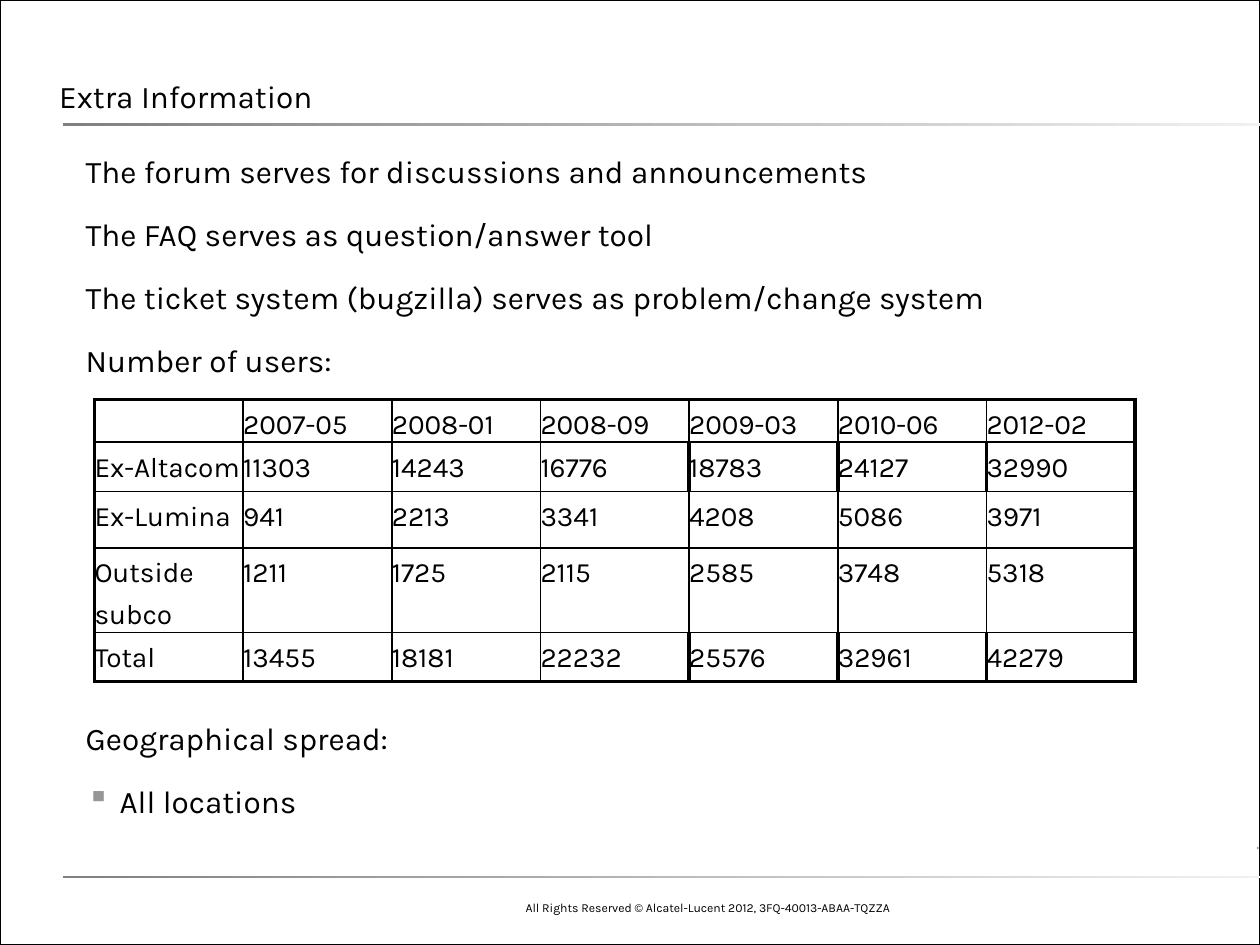
import pptx
import pptx.dml.color
import pptx.enum.shapes
import pptx.enum.text
import pptx.oxml
import pptx.oxml.ns
import pptx.util
from pptx.util import Inches

FONT = "Karla"
COLORS = {
    "backdrop": "B2B2B2",
    "panel": "FFFFFF",
    "ink": "000000",
    "rule_start": "808080",
    "rule_end": "F1F1F1",
    "mark_end": "E1E1E1",
    "bullet": "969696",
}
STATEMENTS = [
    "The forum serves for discussions and announcements",
    "The FAQ serves as question/answer tool",
    "The ticket system (bugzilla) serves as problem/change system",
    "Number of users:",
]
USERS = [
    ["", "2007-05", "2008-01", "2008-09", "2009-03", "2010-06", "2012-02"],
    ["Ex-Altacom", "11303", "14243", "16776", "18783", "24127", "32990"],
    ["Ex-Lumina", "941", "2213", "3341", "4208", "5086", "3971"],
    ["Outside subco", "1211", "1725", "2115", "2585", "3748", "5318"],
    ["Total", "13455", "18181", "22232", "25576", "32961", "42279"],
]
ROW_HEIGHTS = [0.34, 0.39, 0.45, 0.67, 0.39]
COLUMN_WIDTH = 1.18
HEAVY_ROWS = (1, 4)
FIRST_HEAVY_COLUMN = 4
TABLE_GAP = 180


def rgb(name):
    """Return the named colour."""
    return pptx.dml.color.RGBColor.from_string(COLORS[name])


def set_margins(holder, horizontal=0, vertical=0):
    """Set the inner margins of a text frame or a cell."""
    holder.margin_left = holder.margin_right = Inches(horizontal)
    holder.margin_top = holder.margin_bottom = Inches(vertical)


def add_run(paragraph, text, size):
    """Add one run in the slide's font."""
    run = paragraph.add_run()
    run.text = text
    run.font.name = FONT
    run.font.size = pptx.util.Pt(size)
    run.font.color.rgb = rgb("ink")


def add_rectangle(slide, left, top, width, height, fill=None, line=None, line_width=1):
    """Add a rectangle with an optional solid fill and outline."""
    shape = slide.shapes.add_shape(
        pptx.enum.shapes.MSO_SHAPE.RECTANGLE,
        Inches(left), Inches(top), Inches(width), Inches(height))
    shape.shadow.inherit = False
    if fill:
        shape.fill.solid()
        shape.fill.fore_color.rgb = rgb(fill)
    else:
        shape.fill.background()
    if line:
        shape.line.color.rgb = rgb(line)
        shape.line.width = pptx.util.Pt(line_width)
    else:
        shape.line.fill.background()
    return shape


def add_gradient_bar(slide, left, top, width, height, end="rule_end"):
    """Add a thin bar that fades from left to right."""
    fill = add_rectangle(slide, left, top, width, height).fill
    fill.gradient()
    fill.gradient_angle = 0
    for stop, name in zip(fill.gradient_stops, ("rule_start", end)):
        stop.color.rgb = rgb(name)


def add_text_box(slide, left, top, width, height):
    """Add a wrapping text box and return its text frame."""
    shape = slide.shapes.add_textbox(
        Inches(left), Inches(top), Inches(width), Inches(height))
    shape.text_frame.word_wrap = True
    return shape.text_frame


def add_title(slide, text):
    """Place the title placeholder in front of the panel and fill it."""
    title = slide.shapes.title
    title.element.getparent().append(title.element)
    title.left, title.top = Inches(0.47), Inches(0.08)
    title.width, title.height = Inches(9.03), Inches(0.83)
    frame = title.text_frame
    frame.auto_size = pptx.enum.text.MSO_AUTO_SIZE.NONE
    frame.vertical_anchor = pptx.enum.text.MSO_ANCHOR.BOTTOM
    set_margins(frame)
    paragraph = frame.paragraphs[0]
    paragraph.alignment = pptx.enum.text.PP_ALIGN.LEFT
    paragraph.line_spacing = pptx.util.Pt(26)
    add_run(paragraph, text, 18)


def add_footer(slide, text):
    """Add the right-aligned copyright line."""
    frame = add_text_box(slide, 3.58, 6.92, 3.58, 0.39)
    frame.vertical_anchor = pptx.enum.text.MSO_ANCHOR.BOTTOM
    set_margins(frame, 0.1, 0.05)
    frame.paragraphs[0].alignment = pptx.enum.text.PP_ALIGN.RIGHT
    add_run(frame.paragraphs[0], text, 7)


def set_indent(paragraph, margin, indent, bullet=None):
    """Set the paragraph's indents and its optional bullet."""
    properties = paragraph._p.get_or_add_pPr()
    properties.set("marL", str(Inches(margin)))
    properties.set("indent", str(Inches(indent)))
    if bullet:
        color = pptx.oxml.ns.qn("a:buClr")
        color = properties.makeelement(color, {})
        value = color.makeelement(
            pptx.oxml.ns.qn("a:srgbClr"), {"val": COLORS["bullet"]})
        color.append(value)
        character = properties.makeelement(
            pptx.oxml.ns.qn("a:buChar"), {"char": bullet})
        properties.extend([color, character])


def add_body(slide):
    """Add the statements above and below the table."""
    frame = add_text_box(slide, 0.5, 1.17, 9.1, 5.52)
    set_margins(frame)
    lines = [(text, 0.18, 0, None, 0) for text in STATEMENTS]
    lines.append(("Geographical spread:", 0.18, 0, None, TABLE_GAP))
    lines.append(("All locations", 0.45, -0.26, "▪", 0))
    for index, (text, margin, indent, bullet, gap) in enumerate(lines):
        paragraph = frame.add_paragraph() if index else frame.paragraphs[0]
        set_indent(paragraph, margin, indent, bullet)
        paragraph.line_spacing = pptx.util.Pt(24)
        paragraph.space_after = pptx.util.Pt(12)
        if gap:
            paragraph.space_before = pptx.util.Pt(gap)
        add_run(paragraph, text, 18)


def set_borders(cell, heavy_sides):
    """Draw the four borders of a cell, some of them heavy."""
    properties = cell._tc.get_or_add_tcPr()
    for index, side in enumerate("LRTB"):
        width = pptx.util.Pt(2.25 if side in heavy_sides else 1)
        border = pptx.oxml.parse_xml(
            f'<a:ln{side} {pptx.oxml.ns.nsdecls("a")} w="{width}"><a:solidFill>'
            f'<a:srgbClr val="{COLORS["ink"]}"/></a:solidFill></a:ln{side}>')
        properties.insert(index, border)


def heavy_sides(row, column):
    """Return the sides of a cell that take a heavy border."""
    def heavy_edge(edge):
        return edge in (0, len(USERS[0])) or (
            row in HEAVY_ROWS and edge >= FIRST_HEAVY_COLUMN)

    tests = {"L": heavy_edge(column), "R": heavy_edge(column + 1),
             "T": row == 0, "B": row == len(USERS) - 1}
    return [side for side, heavy in tests.items() if heavy]


def add_user_table(slide):
    """Add the table of user numbers."""
    columns = len(USERS[0])
    table = slide.shapes.add_table(
        len(USERS), columns, Inches(0.75), Inches(3.17),
        Inches(COLUMN_WIDTH * columns), Inches(sum(ROW_HEIGHTS))).table
    table.first_row = table.horz_banding = False
    for column in table.columns:
        column.width = Inches(COLUMN_WIDTH)
    for row, values in enumerate(USERS):
        table.rows[row].height = Inches(ROW_HEIGHTS[row])
        for column, text in enumerate(values):
            cell = table.cell(row, column)
            set_margins(cell)
            cell.fill.background()
            set_borders(cell, heavy_sides(row, column))
            paragraph = cell.text_frame.paragraphs[0]
            paragraph.line_spacing = pptx.util.Pt(24)
            if text:
                add_run(paragraph, text, 16)


def main():
    """Build the slide and save it."""
    presentation = pptx.Presentation()
    presentation.slide_width, presentation.slide_height = Inches(10), Inches(7.5)
    slide = presentation.slides.add_slide(presentation.slide_layouts[5])
    slide.background.fill.solid()
    slide.background.fill.fore_color.rgb = rgb("backdrop")
    add_rectangle(slide, 0, 0, 10, 7.5, "panel", "panel", 1.5)
    add_gradient_bar(slide, 9.98, 6.72, 0.01, 0.02, "mark_end")
    add_rectangle(slide, 0, 0, 10, 7.5, line="ink")
    add_footer(slide, "All Rights Reserved © Alcatel-Lucent 2012, 3FQ-40013-ABAA-TQZZA")
    for top in (0.98, 6.95):
        add_gradient_bar(slide, 0.5, top, 9.53, 0.02)
    add_title(slide, "Extra Information")
    add_body(slide)
    add_user_table(slide)
    presentation.save("out.pptx")


if __name__ == "__main__":
    main()
